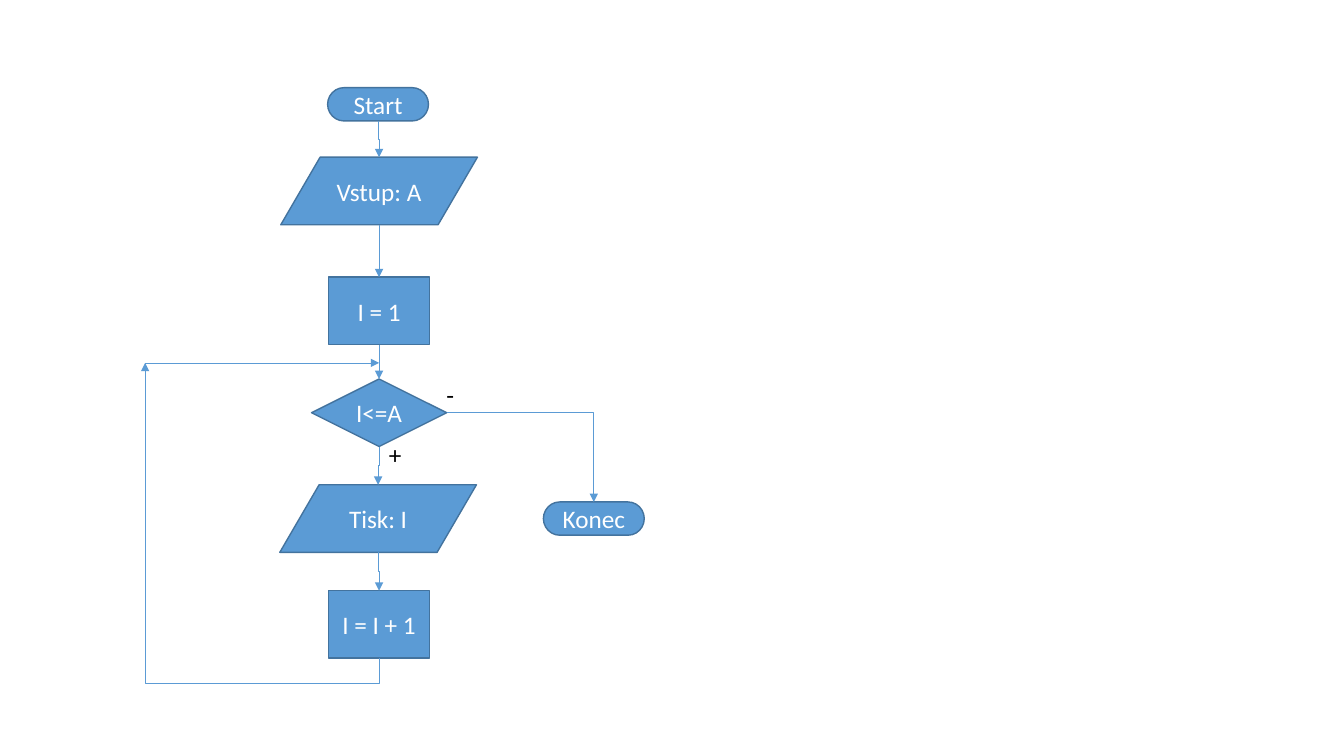
from dataclasses import dataclass
from itertools import pairwise

from lxml.etree import SubElement
from pptx import Presentation
from pptx.dml.color import RGBColor
from pptx.enum.shapes import MSO_CONNECTOR, MSO_SHAPE
from pptx.enum.text import MSO_ANCHOR, MSO_AUTO_SIZE, PP_ALIGN
from pptx.oxml.ns import qn
from pptx.shapes.connector import Connector
from pptx.text.text import TextFrame
from pptx.util import Inches, Pt

COLORS = {"fill": "5B9BD5", "edge": "43739E", "light": "FFFFFF", "dark": "000000"}
Point = tuple[float, float]


@dataclass(frozen=True)
class Node:
    text: str
    kind: MSO_SHAPE
    mid: float
    top: float
    width: float
    height: float

    @property
    def head(self) -> Point:
        return self.mid, self.top

    @property
    def foot(self) -> Point:
        return self.mid, self.top + self.height

    @property
    def right(self) -> Point:
        return self.mid + self.width / 2, self.top + self.height / 2


@dataclass(frozen=True)
class Label:
    text: str
    left: float
    top: float
    width: float


START = Node("Start", MSO_SHAPE.FLOWCHART_TERMINATOR, 3.75, 0.87, 1, 0.33)
INPUT = Node("Vstup: A", MSO_SHAPE.FLOWCHART_DATA, 3.76, 1.56, 1.95, 0.67)
SETUP = Node("I = 1", MSO_SHAPE.FLOWCHART_PROCESS, 3.76, 2.75, 1, 0.67)
TEST = Node("I<=A", MSO_SHAPE.FLOWCHART_DECISION, 3.76, 3.76, 1.34, 0.67)
PRINT = Node("Tisk: I", MSO_SHAPE.FLOWCHART_DATA, 3.75, 4.81, 1.95, 0.67)
COUNT = Node("I = I + 1", MSO_SHAPE.FLOWCHART_PROCESS, 3.76, 5.86, 1, 0.67)
FINISH = Node("Konec", MSO_SHAPE.FLOWCHART_TERMINATOR, 5.89, 4.98, 1, 0.33)
STEPS = [START, INPUT, SETUP, TEST, PRINT, COUNT]
LABELS = [Label("+", 3.76, 4.31, 0.33), Label("-", 4.33, 3.71, 0.28)]
LOOP_LEFT, LOOP_TOP, LOOP_DROP = 1.44, 3.6, -0.085

deck = Presentation()
deck.slide_width, deck.slide_height = Inches(13.33), Inches(7.5)
slide = deck.slides.add_slide(deck.slide_layouts[6])


def write(frame: TextFrame, text: str, *, color: str, align: PP_ALIGN, size: int = 18) -> None:
    para = frame.paragraphs[0]
    para.alignment = align
    run = para.add_run()
    run.text = text
    run.font.name = "Calibri"
    run.font.size = Pt(size)
    run.font.color.rgb = RGBColor.from_string(COLORS[color])


def draw_node(node: Node) -> None:
    shape = slide.shapes.add_shape(
        node.kind, Inches(node.mid - node.width / 2), Inches(node.top),
        Inches(node.width), Inches(node.height))
    shape.shadow.inherit = False
    shape.fill.solid()
    shape.fill.fore_color.rgb = RGBColor.from_string(COLORS["fill"])
    shape.line.color.rgb = RGBColor.from_string(COLORS["edge"])
    shape.line.width = Pt(1)
    shape.text_frame.word_wrap = True
    shape.text_frame.vertical_anchor = MSO_ANCHOR.MIDDLE
    write(shape.text_frame, node.text, color="light", align=PP_ALIGN.CENTER)


def draw_label(label: Label) -> None:
    box = slide.shapes.add_textbox(
        Inches(label.left), Inches(label.top), Inches(label.width), Inches(0.4))
    box.text_frame.word_wrap = False
    box.text_frame.auto_size = MSO_AUTO_SIZE.SHAPE_TO_FIT_TEXT
    write(box.text_frame, label.text, color="dark", align=PP_ALIGN.LEFT)


def arrow(start: Point, end: Point, kind: MSO_CONNECTOR = MSO_CONNECTOR.STRAIGHT) -> Connector:
    line = slide.shapes.add_connector(kind, *map(Inches, start + end))
    line.line.color.rgb = RGBColor.from_string(COLORS["fill"])
    line.line.width = Pt(0.5)
    SubElement(line.line._get_or_add_ln(), qn("a:tailEnd"), type="triangle")
    SubElement(line._element.spPr, qn("a:effectLst"))
    return line


def upright(start: Point, end: Point, bend: float = 0.5) -> None:
    mid_x, mid_y = (start[0] + end[0]) / 2, (start[1] + end[1]) / 2
    half_x, half_y = (end[0] - start[0]) / 2, (end[1] - start[1]) / 2
    line = arrow((mid_x - half_y, mid_y + half_x),
                 (mid_x + half_y, mid_y - half_x), MSO_CONNECTOR.ELBOW)
    props = line._element.spPr
    props.find(qn("a:xfrm")).set("rot", str(90 * 60000))
    guides = props.find(qn("a:prstGeom")).find(qn("a:avLst"))
    SubElement(guides, qn("a:gd"), name="adj1", fmla=f"val {round(bend * 100000)}")


def corner(start: Point, end: Point) -> None:
    line = arrow(start, end, MSO_CONNECTOR.ELBOW)
    line._element.spPr.find(qn("a:prstGeom")).set("prst", "bentConnector2")


for node in STEPS + [FINISH]:
    draw_node(node)
for above, below in pairwise(STEPS):
    upright(above.foot, below.head)
corner(TEST.right, FINISH.head)
upright(COUNT.foot, (LOOP_LEFT, LOOP_TOP), LOOP_DROP)
arrow((LOOP_LEFT, LOOP_TOP), (SETUP.mid, LOOP_TOP))
for label in LABELS:
    draw_label(label)

deck.save("out.pptx")
